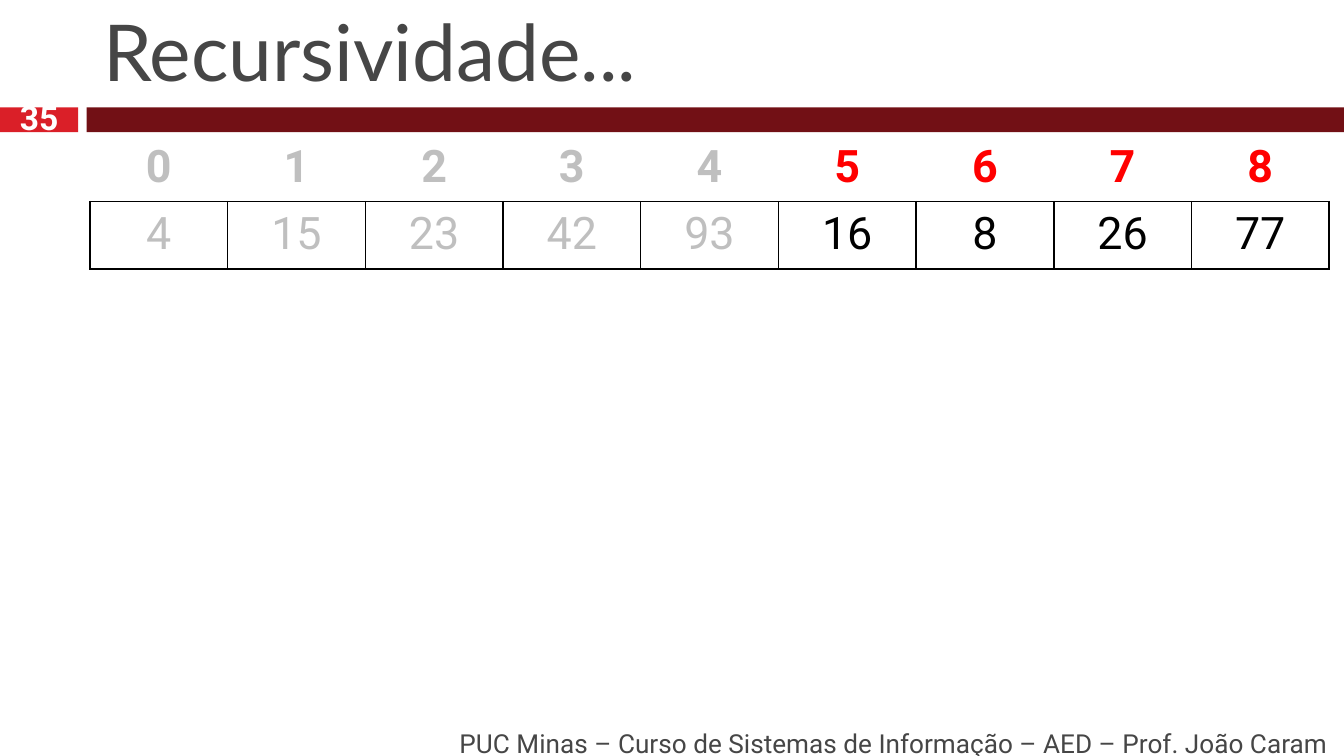
from dataclasses import dataclass

from lxml.etree import SubElement
from pptx import Presentation
from pptx.dml.color import RGBColor
from pptx.enum.shapes import MSO_SHAPE
from pptx.enum.text import MSO_ANCHOR, PP_ALIGN
from pptx.oxml.ns import qn
from pptx.util import Cm, Pt

COLORS = {
    "badge": "DA1F28",
    "bar": "721015",
    "text": "464646",
    "white": "FFFFFF",
    "faded": "BFBFBF",
    "active": "FF0000",
    "black": "000000",
}
VALUES = [4, 15, 23, 42, 93, 16, 8, 26, 77]
FIRST_ACTIVE = 5  # indexes from here on are still being processed


@dataclass
class Area:
    """Position and size in centimetres."""
    left: float
    top: float
    width: float
    height: float

    def lengths(self) -> tuple:
        return Cm(self.left), Cm(self.top), Cm(self.width), Cm(self.height)


@dataclass
class Style:
    size: int
    color: str
    font: str = "Roboto"
    bold: bool = False
    align: PP_ALIGN = PP_ALIGN.CENTER


@dataclass
class Label:
    text: str
    area: Area
    style: Style
    anchor: MSO_ANCHOR = MSO_ANCHOR.MIDDLE


BANDS = [
    (Area(0, 2.03, 1.48, 0.47), "badge"),
    (Area(1.64, 2.03, 23.76, 0.47), "bar"),
]
LABELS = [
    Label("Recursividade...", Area(1.7, 0.33, 23.42, 1.63),
          Style(42, "text", font="Lato", align=PP_ALIGN.LEFT), MSO_ANCHOR.BOTTOM),
    Label("PUC Minas – Curso de Sistemas de Informação – AED – Prof. João Caram",
          Area(2.69, 13.67, 22.66, 0.76), Style(14, "text", align=PP_ALIGN.RIGHT)),
    Label("35", Area(0, 1.96, 1.48, 0.51), Style(18, "white", bold=True)),
]
ARRAY_AREA = Area(1.7, 2.54, 23.42, 2.5)


def write(frame, text: str, style: Style) -> None:
    paragraph = frame.paragraphs[0]
    paragraph.alignment = style.align
    span = paragraph.add_run()
    span.text = text
    span.font.name = style.font
    span.font.size = Pt(style.size)
    span.font.bold = style.bold
    span.font.color.rgb = RGBColor.from_string(COLORS[style.color])


def draw_band(page, area: Area, color: str) -> None:
    band = page.shapes.add_shape(MSO_SHAPE.RECTANGLE, *area.lengths())
    band.shadow.inherit = False
    band.fill.solid()
    band.fill.fore_color.rgb = RGBColor.from_string(COLORS[color])
    band.line.fill.background()


def draw_label(page, label: Label) -> None:
    box = page.shapes.add_textbox(*label.area.lengths())
    box.text_frame.word_wrap = True
    box.text_frame.vertical_anchor = label.anchor
    write(box.text_frame, label.text, label.style)


def set_borders(cell, visible_sides: str) -> None:
    properties = cell._tc.get_or_add_tcPr()
    for side in "LRTB":
        line = SubElement(properties, qn(f"a:ln{side}"), w=str(Pt(1)))
        if side in visible_sides:
            fill = SubElement(line, qn("a:solidFill"))
            SubElement(fill, qn("a:srgbClr"), val=COLORS["black"])
        else:
            SubElement(line, qn("a:noFill"))


def draw_cell(cell, text: str, style: Style, visible_sides: str) -> None:
    set_borders(cell, visible_sides)
    cell.fill.background()
    write(cell.text_frame, text, style)


def draw_array(page, area: Area, values: list[int]) -> None:
    table = page.shapes.add_table(2, len(values), *area.lengths()).table
    table.first_row = False
    table.horz_banding = False
    for index, value in enumerate(values):
        active = index >= FIRST_ACTIVE
        index_style = Style(24, "active" if active else "faded", bold=True)
        value_style = Style(24, "black" if active else "faded")
        draw_cell(table.cell(0, index), str(index), index_style, "B")
        draw_cell(table.cell(1, index), str(value), value_style, "LRTB")


def main() -> None:
    deck = Presentation()
    deck.slide_width, deck.slide_height = Cm(25.4), Cm(14.29)
    page = deck.slides.add_slide(deck.slide_layouts[6])

    # Page number badge and divider bar
    for area, color in BANDS:
        draw_band(page, area, color)

    # Title, footer and page number
    for label in LABELS:
        draw_label(page, label)

    # Array with its indexes above the values
    draw_array(page, ARRAY_AREA, VALUES)

    deck.save("out.pptx")


if __name__ == "__main__":
    main()
